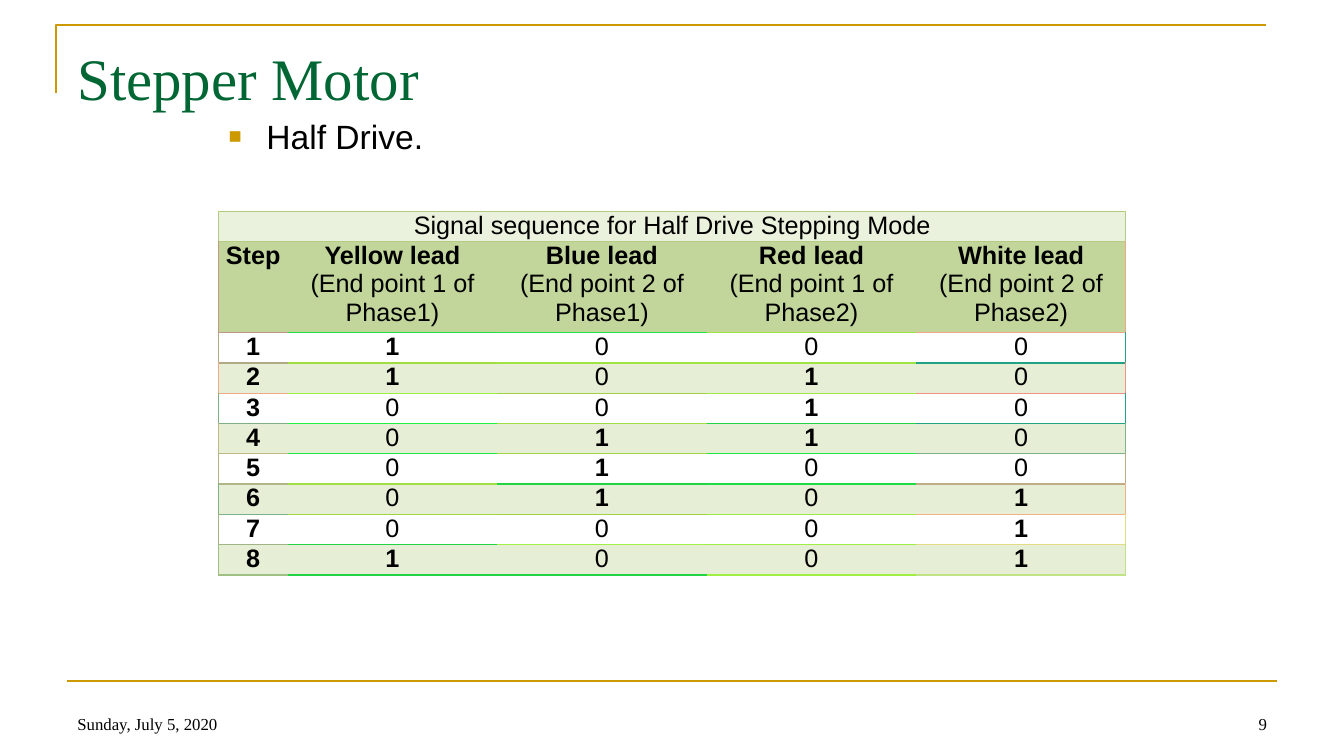
"""Build the Stepper Motor slide with its half drive signal table."""
from lxml.etree import SubElement
from pptx import Presentation
from pptx.dml.color import RGBColor
from pptx.enum.shapes import MSO_CONNECTOR
from pptx.enum.text import MSO_ANCHOR, MSO_AUTO_SIZE, PP_ALIGN
from pptx.oxml import parse_xml
from pptx.oxml.ns import nsdecls, qn
from pptx.util import Cm, Pt

GOLD = "CC9900"
SERIF = "Times New Roman"


def add_run(paragraph, text, size, font="Arial", color="000000", bold=False):
    run = paragraph.add_run()
    run.text = text
    run.font.size = Pt(size)
    run.font.name = font
    run.font.bold = bold
    run.font.color.rgb = RGBColor.from_string(color)


def set_borders(cell, left, right, top, bottom):
    properties = cell._tc.get_or_add_tcPr()
    for index, (side, color) in enumerate(zip("LRTB", (left, right, top, bottom))):
        paint = f'<a:solidFill><a:srgbClr val="{color}"/></a:solidFill>' if color else "<a:noFill/>"
        properties.insert(index, parse_xml(
            f'<a:ln{side} {nsdecls("a")} w="12700">{paint}</a:ln{side}>'))


presentation = Presentation()
presentation.slide_width = Cm(33.87)
presentation.slide_height = Cm(19.05)
slide = presentation.slides.add_slide(presentation.slide_layouts[1])

corner_builder = slide.shapes.build_freeform(Cm(1.42), Cm(2.34))
corner_builder.add_line_segments(
    [(Cm(1.42), Cm(0.64)), (Cm(31.9), Cm(0.64))], close=False)
corner_rule = corner_builder.convert_to_shape()
corner_rule.shadow.inherit = False
corner_rule.fill.background()
footer_rule = slide.shapes.add_connector(
    MSO_CONNECTOR.STRAIGHT, Cm(1.7), Cm(17.15), Cm(32.18), Cm(17.15))
SubElement(footer_rule._element.spPr, qn("a:effectLst"))
for rule in (corner_rule, footer_rule):
    rule.line.color.rgb = RGBColor.from_string(GOLD)
    rule.line.width = Pt(1.5)

title = slide.shapes.title
drive_list = slide.placeholders[1]
for part, left, top, width, height, inset in (
    (title, 1.7, 0.76, 30.48, 3.18, 0.3),
    (drive_list, 5.51, 2.72, 22.86, 12.57, 0.2),
):
    part.left, part.top, part.width, part.height = Cm(left), Cm(top), Cm(width), Cm(height)
    part.text_frame.auto_size = MSO_AUTO_SIZE.NONE
    part.text_frame.vertical_anchor = MSO_ANCHOR.TOP
    part.text_frame.margin_top = Cm(inset)
    part.text_frame.paragraphs[0].alignment = PP_ALIGN.LEFT
    part.text_frame.paragraphs[0].space_before = Pt(0)
add_run(title.text_frame.paragraphs[0], "Stepper Motor", 42, SERIF, "006633")

drive_mode = drive_list.text_frame.paragraphs[0]
bullet = drive_mode._p.get_or_add_pPr()
bullet.set("marL", str(Cm(0.95)))
bullet.set("indent", str(Cm(-0.95)))
SubElement(SubElement(bullet, qn("a:buClr")), qn("a:srgbClr"), val=GOLD)
SubElement(bullet, qn("a:buSzPct"), val="65000")
SubElement(bullet, qn("a:buFont"), typeface="Arial")
SubElement(bullet, qn("a:buChar"), char="■")
add_run(drive_mode, "Half Drive.", 24)

for text, left, alignment in (
    ("Sunday, July 5, 2020", 1.7, PP_ALIGN.LEFT),
    ("9", 24.28, PP_ALIGN.RIGHT),
):
    footer = slide.shapes.add_textbox(Cm(left), Cm(17.35), Cm(7.9), Cm(1.27)).text_frame
    footer.word_wrap = True
    footer.vertical_anchor = MSO_ANCHOR.BOTTOM
    footer.paragraphs[0].alignment = alignment
    add_run(footer.paragraphs[0], text, 12, SERIF)

headings = [
    ["Step"],
    ["Yellow lead", "(End point 1 of Phase1)"],
    ["Blue lead", "(End point 2 of Phase1)"],
    ["Red lead", "(End point 1 of Phase2)"],
    ["White lead", "(End point 2 of Phase2)"],
]
signals = ["1000", "1010", "0010", "0110", "0100", "0101", "0001", "1001"]
caption = [["Signal sequence for Half Drive Stepping Mode"], [], [], [], []]
rows = [caption, headings]
rows += [[[str(step)]] + [[signal] for signal in sequence]
         for step, sequence in enumerate(signals, 1)]
bottom_colors = [row.split() for row in (
    "B3CC82 B3CC82 B3CC82 B3CC82 B3CC82",
    "C09785 20DC43 20E443 A0E443 F0A885",
    "B0AB85 A0DD43 A0E443 A0E443 20A485",
    "F0A885 A0EF43 A0D443 A0E943 F09285",
    "80B085 20F143 A0DF43 20D443 20A485",
    "C0B885 20E943 A0D543 20E943 80B085",
    "B0B685 A0DF43 20D443 20DC43 C0AD85",
    "80B085 A0D543 A0D443 A0E943 F0B385",
    "A0B485 20D443 A0F143 A0EF43 E0DD85",
    "A0BF85 20D443 20D443 A0F043 C0E485",
)]

sequence_table = slide.shapes.add_table(
    len(rows), 5, Cm(5.51), Cm(5.33), Cm(22.86), Cm(9.14)).table
sequence_table.first_row = False
sequence_table.horz_banding = False
for column_index, column in enumerate(sequence_table.columns):
    column.width = Cm(5.28 if column_index else 1.74)

for row_index, row in enumerate(rows):
    sequence_table.rows[row_index].height = Cm(2.29 if row_index == 1 else 0.76)
    for column_index, lines in enumerate(row):
        cell = sequence_table.cell(row_index, column_index)
        cell.margin_left = cell.margin_right = Cm(0.18)
        cell.margin_top = cell.margin_bottom = 0
        if row_index < 2:
            cell.fill.solid()
            cell.fill.fore_color.rgb = RGBColor.from_string(("EAF1DD", "C2D69B")[row_index])
        elif row_index % 2:
            cell.fill.solid()
            cell.fill.fore_color.rgb = RGBColor.from_string("E6EED5")
        else:
            cell.fill.background()

        bottom = bottom_colors[row_index][column_index]
        top = bottom_colors[max(row_index - 1, 0)][column_index]
        is_caption = row_index == 0
        set_borders(cell,
                    bottom if is_caption or column_index == 0 else None,
                    bottom if is_caption or column_index == 4 else None,
                    top, bottom)

        for line_index, line in enumerate(lines):
            frame = cell.text_frame
            paragraph = frame.add_paragraph() if line_index else frame.paragraphs[0]
            paragraph.alignment = PP_ALIGN.CENTER
            is_heading = row_index == 1 and line_index == 0
            is_active = row_index > 1 and (column_index == 0 or line == "1")
            add_run(paragraph, line, 18, bold=is_heading or is_active)
sequence_table.cell(0, 0).merge(sequence_table.cell(0, 4))

presentation.save("out.pptx")
